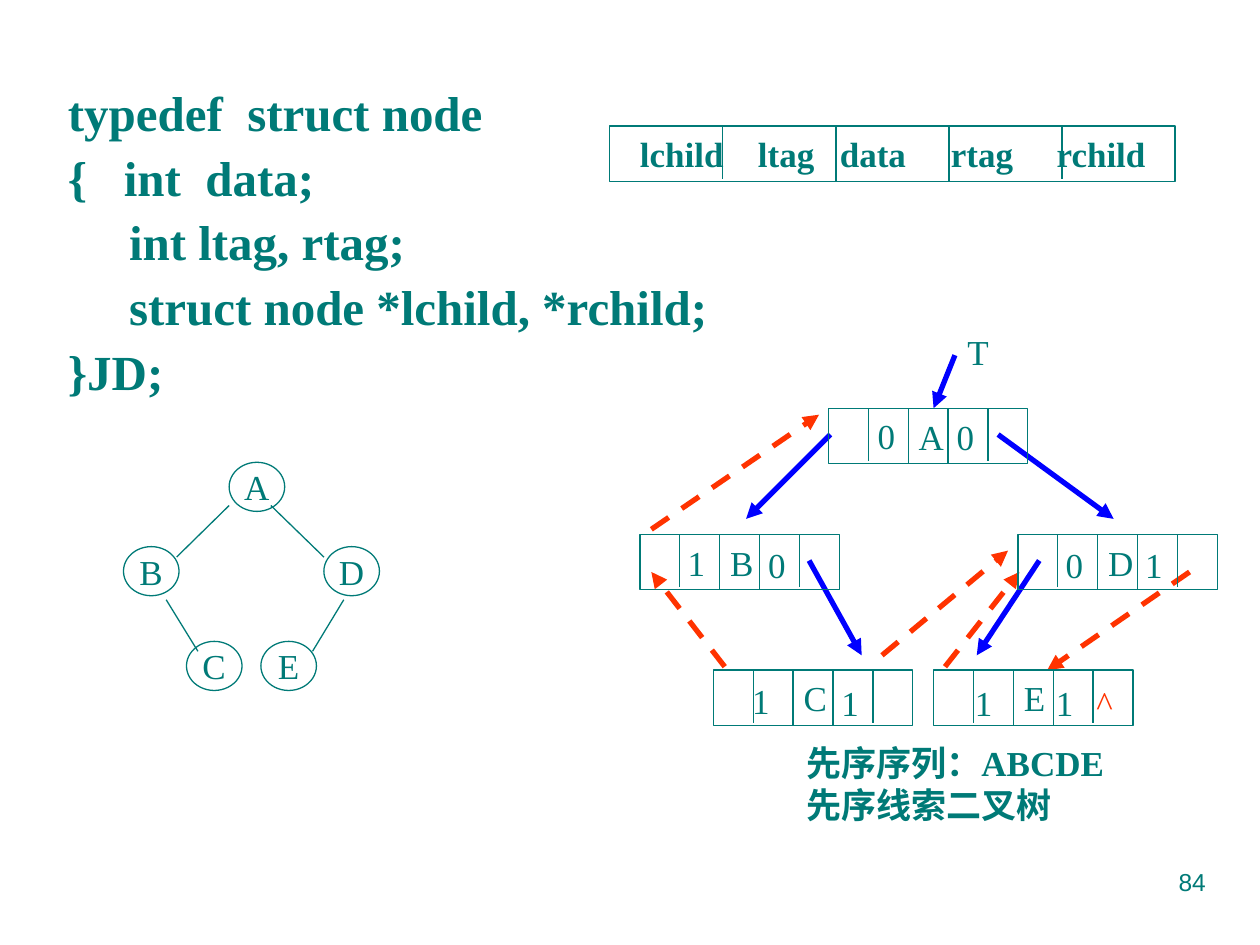
from lxml.etree import SubElement
from pptx import Presentation
from pptx.dml.color import RGBColor
from pptx.enum.dml import MSO_LINE
from pptx.enum.shapes import MSO_CONNECTOR, MSO_SHAPE
from pptx.enum.text import MSO_ANCHOR, PP_ALIGN
from pptx.oxml.ns import qn
from pptx.util import Cm, Pt

COLORS = {"teal": "007A77", "blue": "0000FF", "red": "FF3300"}
SERIF = "Times New Roman"

# All positions and lengths are in centimetres.
CODE = [
    "typedef  struct node",
    "{   int  data;",
    "     int ltag, rtag;",
    "     struct node *lchild, *rchild;",
    "}JD;",
]
CAPTION = ["先序序列：ABCDE", "先序线索二叉树"]

# Label and its distance from the left text edge of the record
FIELDS = [("lchild", 0.36), ("ltag", 2.74), ("data", 4.39), ("rtag", 6.63), ("rchild", 8.76)]
RECORD_BOX = (12.29, 2.54, 11.4, 1.12)

CIRCLE_SIZE = (1.12, 0.99)
CIRCLES = {
    "A": (4.62, 9.32),
    "B": (2.49, 11.02),
    "C": (3.76, 12.93),
    "D": (6.53, 11.02),
    "E": (5.26, 12.93),
}
TREE_EDGES = [
    (4.62, 10.19, 3.56, 11.23),
    (5.46, 10.19, 6.53, 11.23),
    (3.35, 12.09, 3.99, 13.13),
    (6.93, 12.09, 6.3, 13.13),
]

NODE_SIZE = (4.02, 1.12)
# Letter, left, top, and marks with their offsets inside the node
NODES = [
    ("A", 16.7, 8.23, [("0", 0.74, -0.02), ("0", 2.33, 0)]),
    ("B", 12.9, 10.77, [("1", 0.71, 0), ("0", 2.33, 0.05)]),
    ("D", 20.52, 10.77, [("0", 0.71, 0.05), ("1", 2.31, 0.05)]),
    ("C", 14.38, 13.51, [("1", 0.53, 0.05), ("1", 2.33, 0.1)]),
    ("E", 18.82, 13.51, [("1", 0.58, 0.1), ("1", 2.21, 0.1), ("^", 3.02, 0.1)]),
]
CHILD_ARROWS = [
    (16.74, 8.76, 15.04, 10.46),
    (20.12, 8.76, 22.45, 10.46),
    (16.31, 11.3, 17.37, 13.21),
    (20.95, 11.3, 19.69, 13.21),
    (19.25, 7.16, 18.82, 8.23),
]
THREAD_ARROWS = [
    (13.13, 10.67, 16.51, 8.36),
    (14.61, 13.44, 13.13, 11.53),
    (17.78, 13.21, 20.32, 11.1),
    (23.98, 11.53, 21.11, 13.51),
    (19.05, 13.44, 20.55, 11.53),
]


def color(name):
    return RGBColor.from_string(COLORS[name])


def write(shape, lines, size=20, bold=False, font=SERIF, ink="teal", align=PP_ALIGN.LEFT,
          anchor=MSO_ANCHOR.TOP, wrap=False, spacing=None):
    frame = shape.text_frame
    frame.word_wrap = wrap
    frame.vertical_anchor = anchor
    frame.text = "\n".join(lines)
    for paragraph in frame.paragraphs:
        paragraph.alignment = align
        if spacing:
            paragraph.line_spacing = spacing
        paragraph.font.name = font
        paragraph.font.size = Pt(size)
        paragraph.font.bold = bold
        paragraph.font.color.rgb = color(ink)


def add_text(slide, box, lines, **style):
    write(slide.shapes.add_textbox(*map(Cm, box)), lines, **style)


def add_outline(slide, kind, box):
    shape = slide.shapes.add_shape(kind, *map(Cm, box))
    shape.shadow.inherit = False
    shape.fill.background()
    shape.line.color.rgb = color("teal")
    shape.line.width = Pt(0.75)
    return shape


def add_line(slide, ends, ink="teal", width=0.75, arrow=False, dashed=False):
    connector = slide.shapes.add_connector(MSO_CONNECTOR.STRAIGHT, *map(Cm, ends))
    connector.line.color.rgb = color(ink)
    connector.line.width = Pt(width)
    if dashed:
        connector.line.dash_style = MSO_LINE.DASH
    if arrow:
        SubElement(connector.line._get_or_add_ln(), qn("a:tailEnd"), type="triangle")
    SubElement(connector._element.spPr, qn("a:effectLst"))


def add_five_cells(slide, box):
    """Draw a rectangle with four dividers, the outer two a little short."""
    left, top, width, height = box
    shape = add_outline(slide, MSO_SHAPE.RECTANGLE, box)
    for index, share in enumerate((0.95, 1, 1, 0.95), start=1):
        x = left + width * index / 5
        add_line(slide, (x, top, x, top + height * share))
    return shape


def add_record(slide):
    record = add_five_cells(slide, RECORD_BOX)
    properties = record.text_frame.paragraphs[0]._p.get_or_add_pPr()
    tabs = SubElement(properties, qn("a:tabLst"))
    for _, position in FIELDS:
        SubElement(tabs, qn("a:tab"), pos=str(Cm(position)), algn="l")
    paragraph = record.text_frame.paragraphs[0]
    paragraph.add_run().text = "".join("\t" + label for label, _ in FIELDS)
    paragraph.alignment = PP_ALIGN.LEFT
    paragraph.font.name = SERIF
    paragraph.font.size = Pt(20)
    paragraph.font.bold = True
    paragraph.font.color.rgb = color("teal")
    record.text_frame.vertical_anchor = MSO_ANCHOR.MIDDLE


def add_tree(slide):
    for letter, corner in CIRCLES.items():
        circle = add_outline(slide, MSO_SHAPE.OVAL, corner + CIRCLE_SIZE)
        write(circle, [letter], align=PP_ALIGN.CENTER, anchor=MSO_ANCHOR.MIDDLE)
    for edge in TREE_EDGES:
        add_line(slide, edge)


def add_threaded_tree(slide):
    for ends in CHILD_ARROWS:
        add_line(slide, ends, "blue", 3, arrow=True)
    for ends in THREAD_ARROWS:
        add_line(slide, ends, "red", 3, arrow=True, dashed=True)
    for letter, left, top, marks in NODES:
        node = add_five_cells(slide, (left, top) + NODE_SIZE)
        node.text_frame.margin_left = Cm(1.82)
        write(node, [letter], anchor=MSO_ANCHOR.MIDDLE, wrap=True)
        for mark, dx, dy in marks:
            add_text(slide, (left + dx, top + dy, 0.86, 1.12), [mark],
                     ink="red" if mark == "^" else "teal",
                     align=PP_ALIGN.CENTER, anchor=MSO_ANCHOR.MIDDLE)
    add_text(slide, (19.25, 6.53, 0.94, 1.12), ["T"])
    add_text(slide, (16, 14.83, 6.68, 1.96), CAPTION, bold=True)


def main():
    presentation = Presentation()
    presentation.slide_width, presentation.slide_height = Cm(25.4), Cm(19.05)
    slide = presentation.slides.add_slide(presentation.slide_layouts[6])
    add_tree(slide)
    add_threaded_tree(slide)
    add_text(slide, (1.12, 1.42, 13.41, 6.78), CODE, size=28, bold=True, spacing=1.1)
    add_record(slide)
    add_text(slide, (18.21, 17.35, 6.35, 1.32), ["84"], size=14, font="Arial",
             align=PP_ALIGN.RIGHT, wrap=True)
    presentation.save("out.pptx")


if __name__ == "__main__":
    main()
